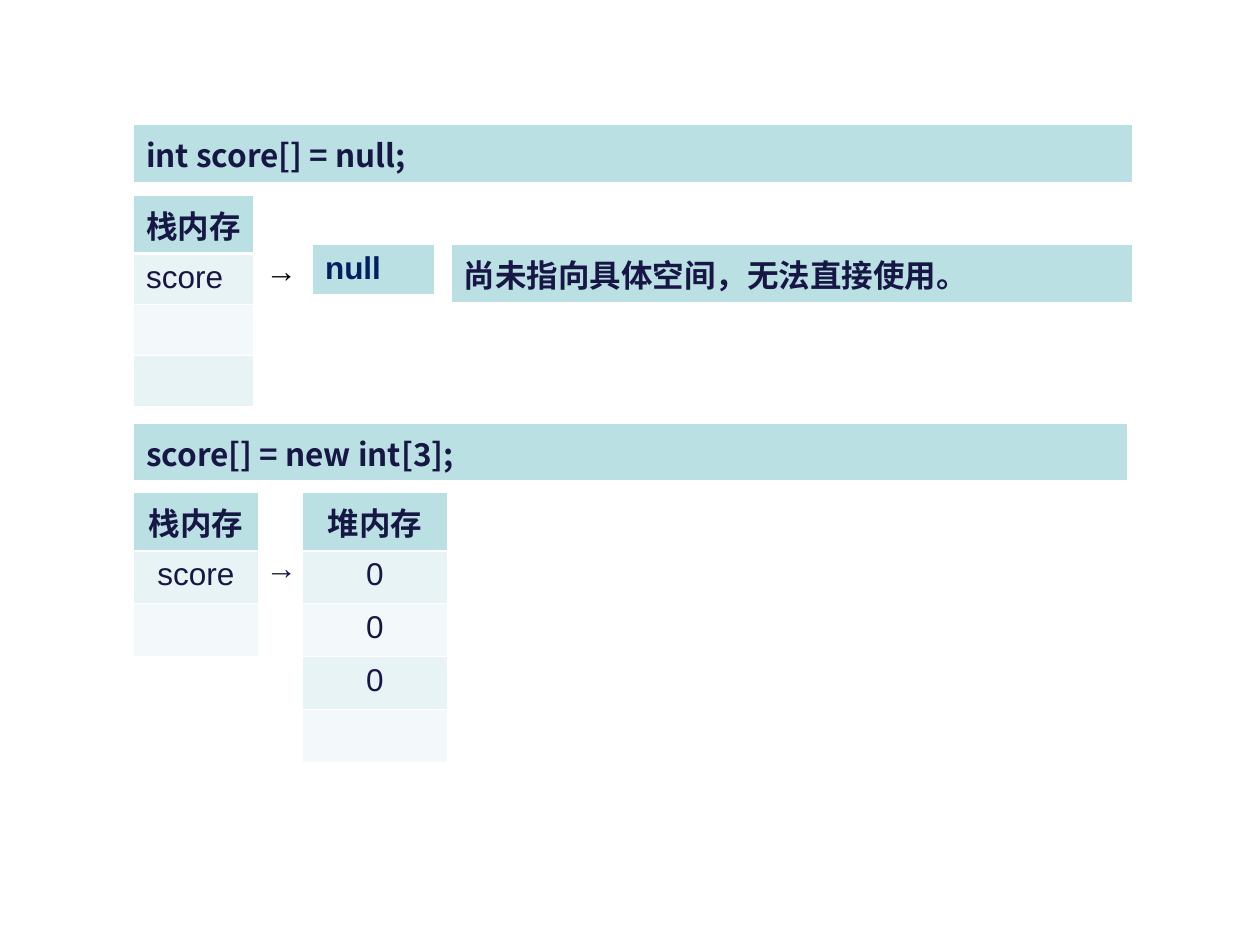
from lxml.etree import SubElement
from pptx import Presentation
from pptx.dml.color import RGBColor
from pptx.enum.text import MSO_AUTO_SIZE, PP_ALIGN
from pptx.oxml.ns import qn
from pptx.util import Inches, Pt

WHITE = RGBColor(0xFF, 0xFF, 0xFF)
BLACK = RGBColor(0, 0, 0)
INK = RGBColor(0x17, 0x17, 0x45)
NAVY = RGBColor(0x00, 0x20, 0x60)
HEADER = RGBColor(0xBB, 0xE0, 0xE3)
BANDS = (RGBColor(0xE7, 0xF3, 0xF4), RGBColor(0xF3, 0xF9, 0xFA))
LATIN = "Arial"
CJK = "Noto Sans CJK SC"
THIN, THICK = Pt(0.45), Pt(1.47)
LEFT = 1.06


class MemorySlide:
    text_format = {"size": Pt(18), "name": LATIN, "bold": False}

    def __init__(self, presentation):
        self.slide = presentation.slides.add_slide(presentation.slide_layouts[6])

    def add_text(self, paragraph, text, color=INK, **changes):
        run = paragraph.add_run()
        run.text = text
        for name, value in {**self.text_format, **changes}.items():
            setattr(run.font, name, value)
        run.font.color.rgb = color
        SubElement(run.font._element, qn("a:ea"), typeface=CJK)

    def border(self, cell, top, bottom):
        properties = cell._tc.get_or_add_tcPr()
        widths = {"lnL": THIN, "lnR": THIN, "lnT": top, "lnB": bottom}
        for side, width in widths.items():
            line = SubElement(properties, qn(f"a:{side}"), w=str(width))
            fill = SubElement(line, qn("a:solidFill"))
            SubElement(fill, qn("a:srgbClr"), val=str(WHITE))

    def table(self, left, top, width, texts, header=0.42, row=0.42,
              align=PP_ALIGN.LEFT, color=INK, font=LATIN):
        heights = [header] + [row] * (len(texts) - 1)
        frame = self.slide.shapes.add_table(
            len(texts), 1, Inches(left), Inches(top), Inches(width), Inches(sum(heights)))
        table = frame.table
        for index, (text, height) in enumerate(zip(texts, heights)):
            table.rows[index].height = Inches(height)
            cell = table.cell(index, 0)
            self.border(cell, THICK if index == 1 else THIN, THIN if index else THICK)
            cell.fill.solid()
            cell.fill.fore_color.rgb = BANDS[(index - 1) % 2] if index else HEADER
            paragraph = cell.text_frame.paragraphs[0]
            paragraph.alignment = align
            if text:
                self.add_text(paragraph, text, color, bold=index == 0, name=font)

    def arrow(self, top, color):
        box = self.slide.shapes.add_textbox(
            Inches(2.01), Inches(top), Inches(0.45), Inches(0.4))
        frame = box.text_frame
        for name, value in {"word_wrap": False,
                            "auto_size": MSO_AUTO_SIZE.SHAPE_TO_FIT_TEXT}.items():
            setattr(frame, name, value)
        self.add_text(frame.paragraphs[0], "→", color)


def main():
    presentation = Presentation()
    presentation.slide_width = Inches(10)
    presentation.slide_height = Inches(7.5)
    memory = MemorySlide(presentation)

    memory.table(LEFT, 1.55, 0.95, ["栈内存", "score", "", ""], header=0.46, row=0.4)
    memory.table(LEFT, 0.99, 7.93, ["int score[] = null;"], font=CJK)
    memory.table(LEFT, 3.36, 7.89, ["score[] = new int[3];"], font=CJK)
    memory.table(3.58, 1.94, 5.41, ["尚未指向具体空间，无法直接使用。"])
    memory.table(LEFT, 3.91, 0.99, ["栈内存", "score", ""], align=PP_ALIGN.CENTER)
    memory.table(2.4, 3.91, 1.15, ["堆内存", "0", "0", "0", ""], align=PP_ALIGN.CENTER)
    memory.arrow(4.3, INK)
    memory.table(2.48, 1.94, 0.97, ["null"], header=0.4, color=NAVY)
    memory.arrow(1.94, BLACK)

    presentation.save("out.pptx")


if __name__ == "__main__":
    main()
